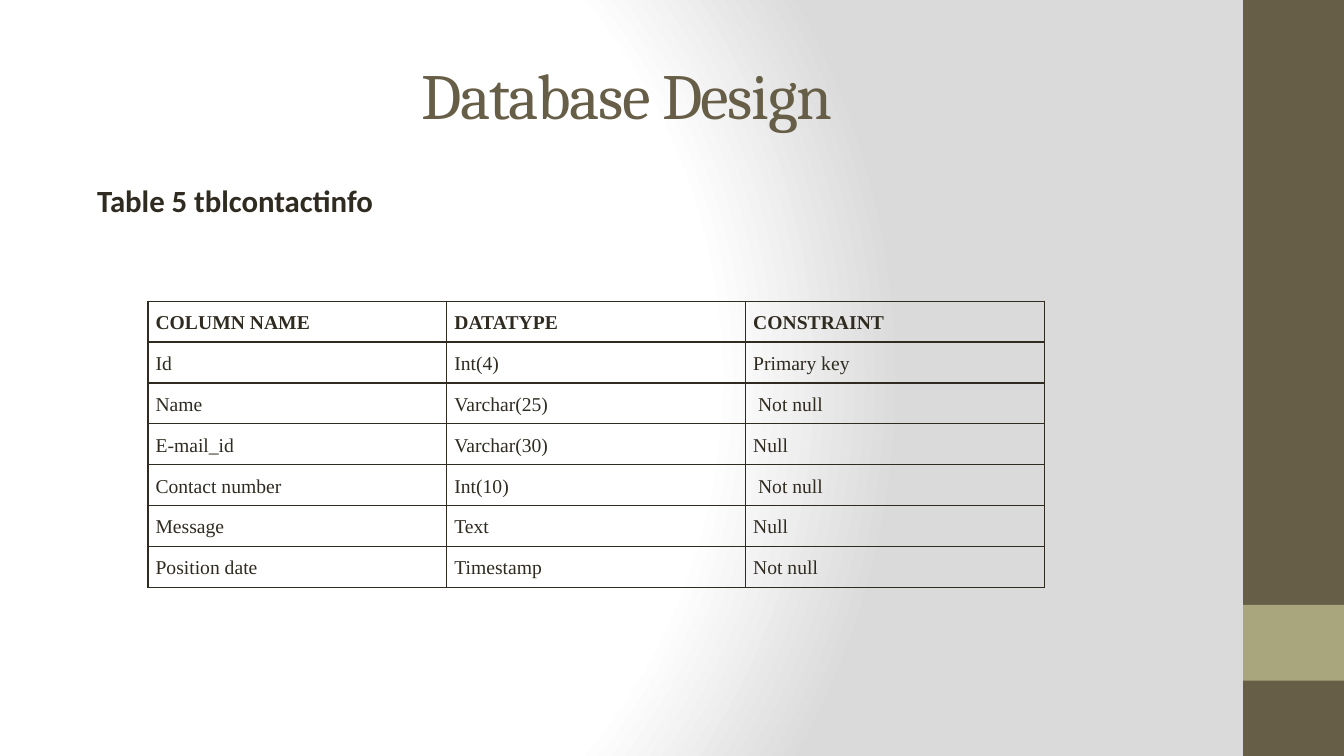
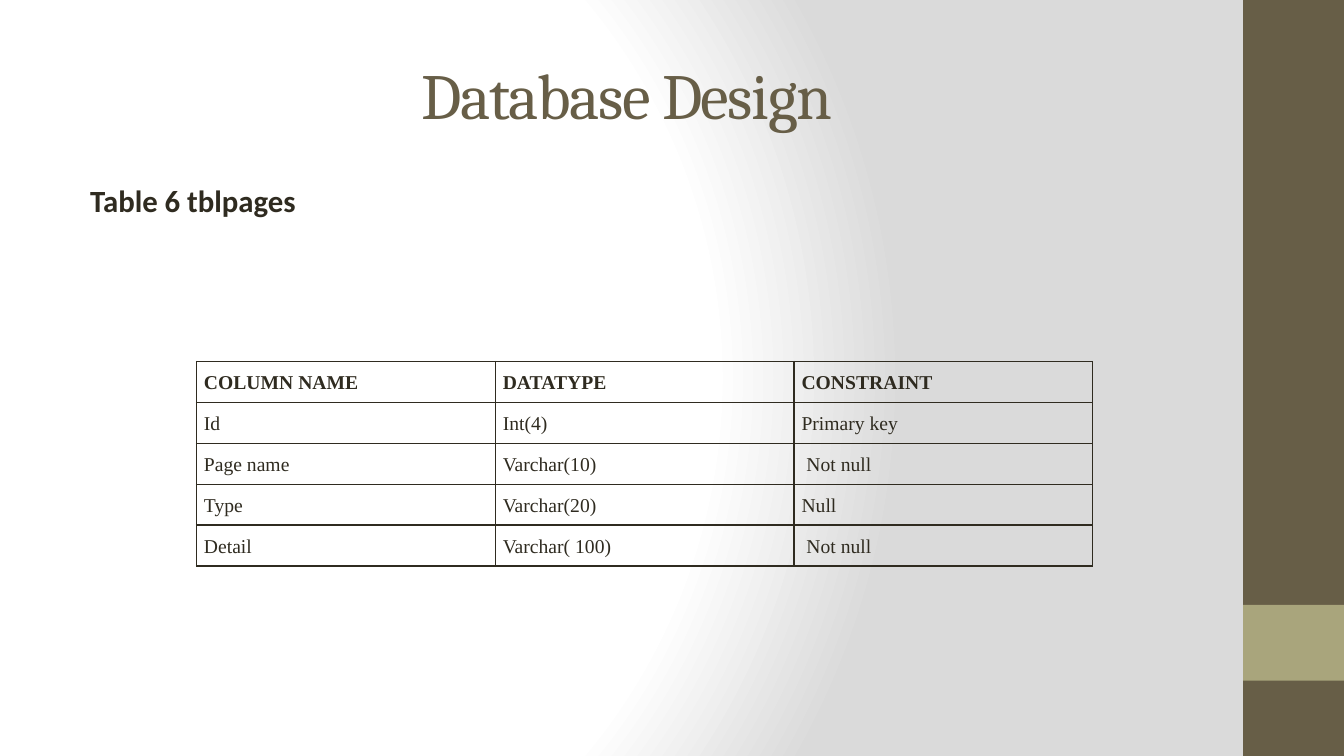
import pptx
import pptx.dml.color
import pptx.enum.shapes
import pptx.enum.text
import pptx.oxml
import pptx.oxml.ns
import pptx.util

Cm = pptx.util.Cm
Pt = pptx.util.Pt
qn = pptx.oxml.ns.qn

HUES = {
    "ink": "2F2B20",
    "olive": "675E47",
    "sage": "A9A57C",
    "white": "FFFFFF",
    "gray": "DADADA",
}
WIDE, HIGH = 33.87, 19.05
BAND = 2.54
ROW, COL = 1.03, 7.53


def node(tag, attrs="", inner=""):
    """Parse one DrawingML element."""
    return pptx.oxml.parse_xml(
        f'<a:{tag} {pptx.oxml.ns.nsdecls("a")} {attrs}>{inner}</a:{tag}>')


def hue(name):
    return pptx.dml.color.RGBColor.from_string(HUES[name])


class Deck:
    """Holds the shared style and the current slide."""

    def __init__(self):
        self.prs = pptx.Presentation()
        self.prs.slide_width, self.prs.slide_height = Cm(WIDE), Cm(HIGH)
        self.layout = self.prs.slide_layouts[1]
        self.slide = None
        self.backdrop()
        self.frame(self.layout.placeholders[0], 0.76, 3.18)
        self.frame(self.layout.placeholders[1], 4.45, 13.34)

    def backdrop(self):
        """Give the master its radial gradient."""
        master = self.prs.slide_master
        master.background.fill.solid()
        fill = master.element.find(".//" + qn("p:bgPr"))[0]
        stops = "".join(
            f'<a:gs pos="{pos}000"><a:srgbClr val="{HUES[name]}"/></a:gs>'
            for pos, name in ((0, "white"), (75, "white"), (100, "gray")))
        glow = node("gradFill", 'rotWithShape="1"',
                    f'<a:gsLst>{stops}</a:gsLst><a:path path="circle">'
                    '<a:fillToRect l="20000" t="50000" r="100000" b="50000"/>'
                    '</a:path>')
        fill.getparent().replace(fill, glow)

    def frame(self, holder, top, height):
        holder.left, holder.top = Cm(1.69), Cm(top)
        holder.width, holder.height = Cm(28.22), Cm(height)

    def start(self):
        self.slide = self.prs.slides.add_slide(self.layout)
        self.band(0, HIGH, "olive")
        self.band(15.24, 1.91, "sage")

    def band(self, top, height, color):
        box = self.slide.shapes.add_shape(
            pptx.enum.shapes.MSO_SHAPE.RECTANGLE,
            Cm(WIDE - BAND), Cm(top), Cm(BAND), Cm(height))
        box.shadow.inherit = False
        box.fill.solid()
        box.fill.fore_color.rgb = hue(color)
        box.line.fill.background()

    def font(self, par, name, size, color="ink", bold=False):
        par.font.name, par.font.size = name, Pt(size)
        par.font.bold = bold
        par.font.color.rgb = hue(color)

    def title(self, text):
        holder = self.slide.shapes.title
        holder.text_frame.text = text
        holder.text_frame.vertical_anchor = pptx.enum.text.MSO_ANCHOR.MIDDLE
        par = holder.text_frame.paragraphs[0]
        par.alignment = pptx.enum.text.PP_ALIGN.CENTER
        self.font(par, "Cambria", 46, "olive")
        par._p.pPr.find(qn("a:defRPr")).set("spc", "-100")

    def body(self, text):
        frame = self.slide.placeholders[1].text_frame
        frame.text = text
        par = frame.paragraphs[0]
        self.font(par, "Calibri", 22, bold=True)
        props = par._p.pPr
        props.set("marL", str(Cm(0.97)))
        props.set("indent", str(Cm(-0.64)))
        props.insert(0, node("buNone"))

    def table(self, left, top, rows):
        cols = len(rows[0])
        grid = self.slide.shapes.add_table(
            len(rows), cols, Cm(left), Cm(top),
            Cm(COL * cols), Cm(ROW * len(rows))).table
        grid.horz_banding = False
        for col in grid.columns:
            col.width = Cm(COL)
        for i, row in enumerate(rows):
            grid.rows[i].height = Cm(ROW)
            for j, text in enumerate(row):
                self.cell(grid.cell(i, j), text, i == 0)

    def cell(self, cell, text, head):
        cell.text = text
        cell.margin_left = cell.margin_right = Cm(0.19)
        cell.margin_top = cell.margin_bottom = 0
        cell.fill.background()
        par = cell.text_frame.paragraphs[0]
        par.line_spacing, par.space_after = 1.5, Pt(10)
        self.font(par, "Times New Roman", 14, bold=head)
        for i, side in enumerate("LRTB"):
            cell._tc.tcPr.insert(i, node(
                "ln" + side, f'w="{Pt(1)}"',
                f'<a:solidFill><a:srgbClr val="{HUES["ink"]}"/></a:solidFill>'))


HEAD = ("COLUMN NAME", "DATATYPE", "CONSTRAINT")
KEY = ("Id", "Int(4)", "Primary key")
PAGES = (
    (" Table 5 tblcontactinfo", 3.73, 7.59, (
        ("Name", "Varchar(25)", " Not null"),
        ("E-mail_id", "Varchar(30)", "Null"),
        ("Contact number", "Int(10)", " Not null"),
        ("Message", "Text", "Null"),
        ("Position date", "Timestamp", "Not null"))),
    ("Table 6 tblpages", 4.95, 9.11, (
        ("Page name", "Varchar(10)", " Not null"),
        ("Type", "Varchar(20)", "Null"),
        ("Detail", "Varchar( 100)", " Not null"))),
)


def main():
    deck = Deck()
    for label, left, top, fields in PAGES:
        deck.start()
        deck.title("Database Design")
        deck.body(label)
        deck.table(left, top, (HEAD, KEY) + fields)
    deck.prs.save("out.pptx")


if __name__ == "__main__":
    main()
